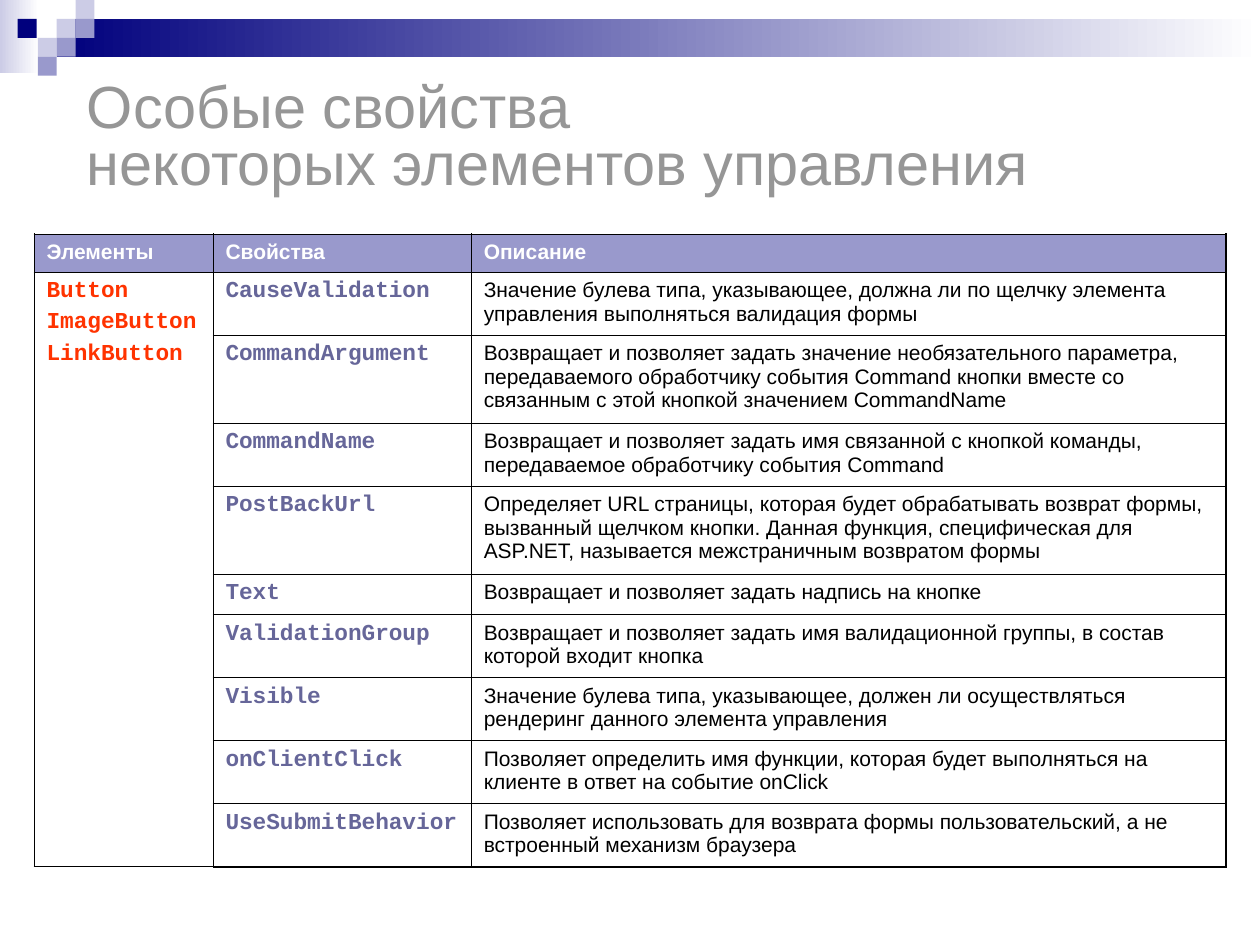
from lxml.etree import SubElement
from pptx import Presentation
from pptx.dml.color import RGBColor
from pptx.enum.shapes import MSO_SHAPE
from pptx.enum.text import MSO_ANCHOR, PP_ALIGN
from pptx.oxml.ns import qn
from pptx.util import Inches, Pt


def color(value):
    return RGBColor.from_string(value)


def write(p, text, size, font, hue, bold=False):
    p.alignment = PP_ALIGN.LEFT
    r = p.add_run()
    r.text = text
    r.font.color.rgb = color(hue)
    for name, value in {"size": Pt(size), "name": font, "bold": bold}.items():
        setattr(r.font, name, value)


prs = Presentation()
prs.slide_width, prs.slide_height = Inches(10), Inches(7.5)
s = prs.slides.add_slide(prs.slide_layouts[5])

# Header bands and mosaic squares: left, top, width, height, colours
SQ = 0.15
decor = [
    (0, 0, 0.31, 0.58, ["CCCCE6", "FFFFFF"]),
    (0.45, SQ, 9.55, 0.3, ["00007D", "FFFFFF"]),
    (0.45, SQ, SQ, SQ, ["CCCCE6"]),
    (0.6, 0, SQ, SQ, ["CCCCE6"]),
    (0.6, SQ, SQ, SQ, ["9999CC"]),
    (0.3, 0.3, SQ, SQ, ["CCCCE6"]),
    (0.14, SQ, SQ, SQ, ["00007D"]),
    (0.45, 0.3, SQ, SQ, ["9999CC"]),
    (0.3, 0.45, SQ, SQ, ["9999CC"]),
]
for *box, hues in decor:
    sp = s.shapes.add_shape(MSO_SHAPE.RECTANGLE, *map(Inches, box))
    sp.shadow.inherit = False
    sp.line.fill.background()
    if len(hues) == 1:
        sp.fill.solid()
        sp.fill.fore_color.rgb = color(hues[0])
    else:
        sp.fill.gradient()
        sp.fill.gradient_angle = 0
        for stop, hue in zip(sp.fill.gradient_stops, hues):
            stop.color.rgb = color(hue)

# Table text
headers = ["Элементы", "Свойства", "Описание"]
controls = ["Button", "ImageButton", "LinkButton"]
properties = [
    ("CauseValidation", "Значение булева типа, указывающее, должна ли по щелчку элемента "
     "управления выполняться валидация формы"),
    ("CommandArgument", "Возвращает и позволяет задать значение необязательного параметра, "
     "передаваемого обработчику события Command кнопки вместе со связанным с этой кнопкой "
     "значением CommandName"),
    ("CommandName", "Возвращает и позволяет задать имя связанной с кнопкой команды, "
     "передаваемое обработчику события Command"),
    ("PostBackUrl", "Определяет URL страницы, которая будет обрабатывать возврат формы, "
     "вызванный щелчком кнопки. Данная функция, специфическая для ASP.NET, называется "
     "межстраничным возвратом формы"),
    ("Text", "Возвращает и позволяет задать надпись на кнопке"),
    ("ValidationGroup", "Возвращает и позволяет задать имя валидационной группы, в состав "
     "которой входит кнопка"),
    ("Visible", "Значение булева типа, указывающее, должен ли осуществляться рендеринг "
     "данного элемента управления"),
    ("onClientClick", "Позволяет определить имя функции, которая будет выполняться на "
     "клиенте в ответ на событие onClick"),
    ("UseSubmitBehavior", "Позволяет использовать для возврата формы пользовательский, "
     "а не встроенный механизм браузера"),
]
rows = [headers] + [["", name, about] for name, about in properties]
rows[1][0] = "\n".join(controls)

# Table grid
widths = [1.42, 2.05, 5.99]
heights = [0.3, 0.5, 0.7, 0.5, 0.7, 0.32, 0.5, 0.5, 0.5, 0.5]
frame = s.shapes.add_table(len(rows), len(widths), Inches(0.27), Inches(1.86),
                           Inches(sum(widths)), Inches(sum(heights)))
table = frame.table
table.first_row = table.horz_banding = False
for column, width in zip(table.columns, widths):
    column.width = Inches(width)
for row, height in zip(table.rows, heights):
    row.height = Inches(height)
table.cell(1, 0).merge(table.cell(len(rows) - 1, 0))

# Cells: borders, fill and text
THIN, THICK = Pt(0.45), Pt(1.08)
header_style = (12, "Arial", "FFFFFF", True)
body_styles = [
    (13, "Courier New", "FF3300", True),
    (13, "Courier New", "666699", True),
    (12, "Arial", "000000", False),
]
for i, texts in enumerate(rows):
    for j, text in enumerate(texts):
        cell = table.cell(i, j)
        thick = {"lnR": j == len(widths) - 1, "lnT": i == 0, "lnB": i == len(rows) - 1}
        tcPr = cell._tc.get_or_add_tcPr()
        for side in ("lnL", "lnR", "lnT", "lnB"):
            ln = SubElement(tcPr, qn(f"a:{side}"), w=str(THICK if thick.get(side) else THIN))
            SubElement(SubElement(ln, qn("a:solidFill")), qn("a:srgbClr"), val="000000")
        if i == 0:
            cell.fill.solid()
            cell.fill.fore_color.rgb = color("9999CC")
        else:
            cell.fill.background()
        if not text:
            continue
        style = body_styles[j] if i else header_style
        tf = cell.text_frame
        for k, line in enumerate(text.split("\n")):
            p = tf.add_paragraph() if k else tf.paragraphs[0]
            p.space_before = Pt(3.3 if style[0] == 13 else 3)
            write(p, line, *style)

# Title
title = s.shapes.title
box = {"left": 0.59, "top": 0.52, "width": 9, "height": 1.18}
for name, value in box.items():
    setattr(title, name, Inches(value))
tf = title.text_frame
tf.word_wrap = True
tf.vertical_anchor = MSO_ANCHOR.MIDDLE
p = tf.paragraphs[0]
p.line_spacing = 0.8
title_style = (34, "Arial", "969696")
write(p, "Особые свойства ", *title_style)
p.add_line_break()
write(p, "некоторых элементов управления", *title_style)

prs.save("out.pptx")
